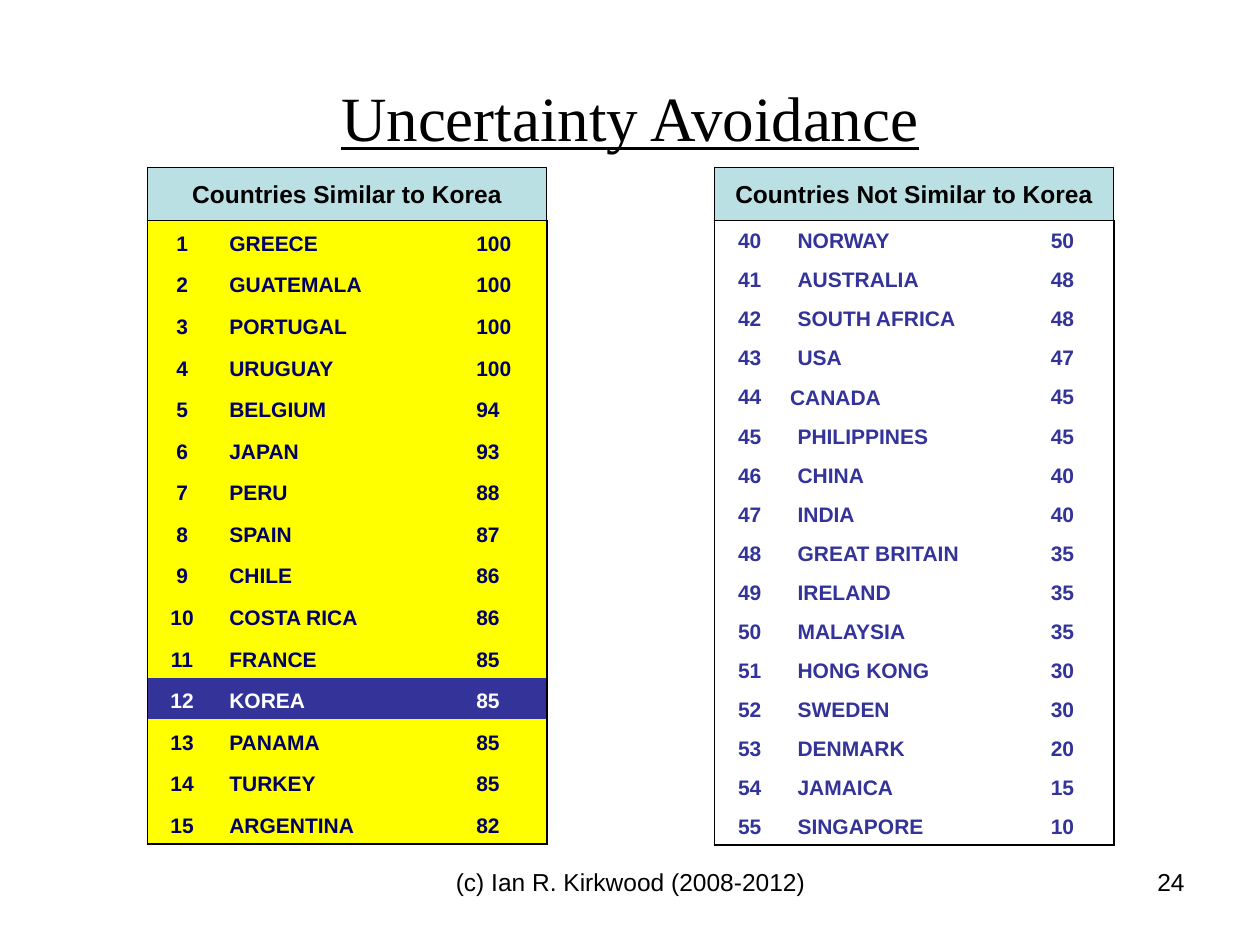
from lxml import etree
from pptx import Presentation
from pptx.dml.color import RGBColor
from pptx.enum.shapes import MSO_SHAPE
from pptx.enum.text import MSO_ANCHOR, PP_ALIGN
from pptx.oxml.ns import qn
from pptx.util import Inches, Pt

LEFT, CENTER, RIGHT = PP_ALIGN.LEFT, PP_ALIGN.CENTER, PP_ALIGN.RIGHT
MIDDLE, BOTTOM = MSO_ANCHOR.MIDDLE, MSO_ANCHOR.BOTTOM
RECT = MSO_SHAPE.RECTANGLE
BLACK = RGBColor(0, 0, 0)
WHITE = RGBColor(255, 255, 255)
NAVY = RGBColor(0x00, 0x00, 0x66)
INDIGO = RGBColor(0x33, 0x33, 0x99)
YELLOW = RGBColor(0xFF, 0xFF, 0x00)
PALE_TEAL = RGBColor(0xBB, 0xE0, 0xE3)
NO_GRID = "{2D5ABB26-0587-4C30-8999-92F81FD0307C}"

TITLE = "Uncertainty Avoidance"
FOOTERS = [
    ("(c) Ian R. Kirkwood (2008-2012)", 3.42, 3.17, CENTER),
    ("24", 7.17, 2.33, RIGHT),
]
SIMILAR = [
    ("GREECE", 100), ("GUATEMALA", 100), ("PORTUGAL", 100), ("URUGUAY", 100),
    ("BELGIUM", 94), ("JAPAN", 93), ("PERU", 88), ("SPAIN", 87),
    ("CHILE", 86), ("COSTA RICA", 86), ("FRANCE", 85), ("KOREA", 85),
    ("PANAMA", 85), ("TURKEY", 85), ("ARGENTINA", 82),
]
NOT_SIMILAR = [
    ("NORWAY", 50), ("AUSTRALIA", 48), ("SOUTH AFRICA", 48), ("USA", 47),
    ("", 45), ("PHILIPPINES", 45), ("CHINA", 40), ("INDIA", 40),
    ("GREAT BRITAIN", 35), ("IRELAND", 35), ("MALAYSIA", 35),
    ("HONG KONG", 30), ("SWEDEN", 30), ("DENMARK", 20), ("JAMAICA", 15),
    ("SINGAPORE", 10),
]
PANELS = [
    dict(heading="Countries Similar to Korea", left=1.17, first=1, data=SIMILAR,
         cols=(0.55, 1.96, 0.66), row=0.33, color=NAVY, fill=YELLOW, hanging=0.38),
    dict(heading="Countries Not Similar to Korea", left=5.67, first=40, data=NOT_SIMILAR,
         cols=(0.56, 2.01, 0.6), row=0.31, color=INDIGO, fill=None, hanging=0),
]
HEAD_TOP, HEAD_HEIGHT, PANEL_WIDTH = 1.33, 0.42, 3.17
TABLE_TOP = HEAD_TOP + HEAD_HEIGHT
CELL_FONT = dict(name="Arial", size=Pt(12), bold=True)
HEAD_FONT = dict(name="Arial", size=Pt(14), bold=True)
FOOT_FONT = dict(name="Arial", size=Pt(14))
TITLE_FONT = dict(name="Times New Roman", size=Pt(36), underline=True)


def write(tf, text, font, color, align):
    p = tf.paragraphs[0]
    p.alignment = align
    r = p.add_run()
    r.text = text
    for key, value in font.items():
        setattr(r.font, key, value)
    r.font.color.rgb = color
    return p


def add_border(cell, side):
    ln = etree.SubElement(cell._tc.get_or_add_tcPr(), qn("a:ln" + side), w=str(Pt(1)))
    fill = etree.SubElement(ln, qn("a:solidFill"))
    etree.SubElement(fill, qn("a:srgbClr"), val=str(BLACK))


def add_grid(s, left, top, cols, row, count):
    frame = s.shapes.add_table(count, len(cols), Inches(left), Inches(top),
                               Inches(sum(cols)), Inches(row * count))
    table = frame.table
    table.first_row = table.horz_banding = False
    table._tbl.tblPr.find(qn("a:tableStyleId")).text = NO_GRID
    for column, width in zip(table.columns, cols):
        column.width = Inches(width)
    for line in table.rows:
        line.height = Inches(row)
    return table


def fill_cell(cell, text, color, fill, align=LEFT, hanging=0):
    cell.vertical_anchor = BOTTOM
    if fill is None:
        cell.fill.background()
    else:
        cell.fill.solid()
        cell.fill.fore_color.rgb = fill
    if not text:
        cell.margin_top = cell.margin_bottom = 0
        return
    p = write(cell.text_frame, text, CELL_FONT, color, align)
    if hanging:
        pPr = p._p.get_or_add_pPr()
        pPr.set("marL", str(Inches(hanging)))
        pPr.set("indent", str(-Inches(hanging)))


def add_ranking(s, panel):
    data, cols = panel["data"], panel["cols"]
    table = add_grid(s, panel["left"], TABLE_TOP, cols, panel["row"], len(data))
    last_row, last_col = len(data) - 1, len(cols) - 1
    for i, (country, score) in enumerate(data):
        color, fill = panel["color"], panel["fill"]
        if country == "KOREA":
            color, fill = WHITE, INDIGO
        for j, text in enumerate((str(panel["first"] + i), country, str(score))):
            cell = table.cell(i, j)
            edges = {"L": j == 0, "R": j == last_col, "T": i == 0, "B": i == last_row}
            for side, outer in edges.items():
                if outer:
                    add_border(cell, side)
            fill_cell(cell, text, color, fill, LEFT if j else CENTER, panel["hanging"])


def add_heading(s, panel):
    sp = s.shapes.add_shape(RECT, Inches(panel["left"]), Inches(HEAD_TOP),
                            Inches(PANEL_WIDTH), Inches(HEAD_HEIGHT))
    sp.shadow.inherit = False
    sp.fill.solid()
    sp.fill.fore_color.rgb = PALE_TEAL
    sp.line.color.rgb = BLACK
    sp.line.width = Pt(0.75)
    tf = sp.text_frame
    tf.word_wrap = False
    tf.vertical_anchor = MIDDLE
    write(tf, panel["heading"], HEAD_FONT, BLACK, CENTER)


def main():
    prs = Presentation()
    prs.slide_width, prs.slide_height = Inches(10), Inches(7.5)
    s = prs.slides.add_slide(prs.slide_layouts[5])

    title = s.shapes.title
    title.left, title.top = Inches(0.5), Inches(0.3)
    title.width, title.height = Inches(9), Inches(1.25)
    title.text_frame.vertical_anchor = MIDDLE
    write(title.text_frame, TITLE, TITLE_FONT, BLACK, CENTER)

    for text, left, width, align in FOOTERS:
        box = s.shapes.add_textbox(Inches(left), Inches(6.83), Inches(width), Inches(0.52))
        box.text_frame.word_wrap = True
        write(box.text_frame, text, FOOT_FONT, BLACK, align)

    for panel in PANELS:
        add_ranking(s, panel)
    canada = add_grid(s, 6.17, 3, (1.22,), 0.3, 1)
    fill_cell(canada.cell(0, 0), "CANADA", INDIGO, None)
    for panel in reversed(PANELS):
        add_heading(s, panel)

    prs.save("out.pptx")


if __name__ == "__main__":
    main()
